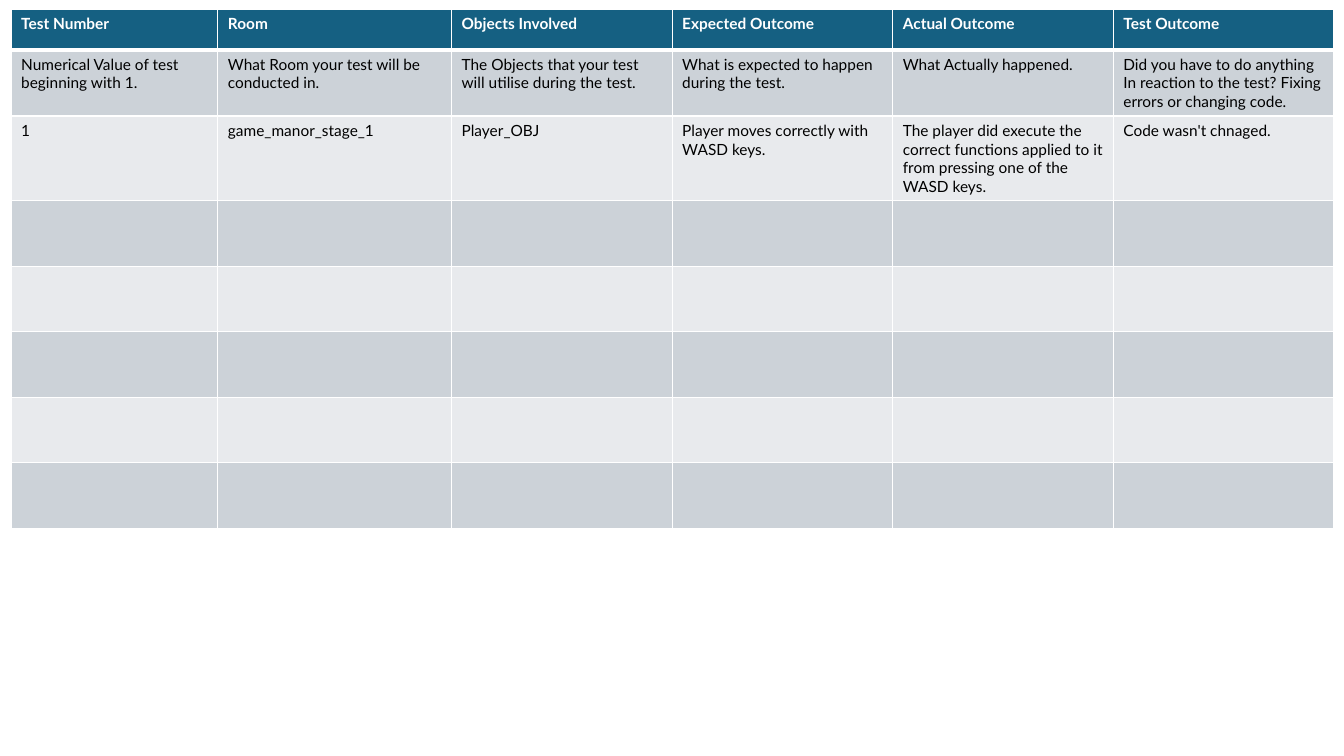
from dataclasses import dataclass

import lxml.etree
import pptx
import pptx.dml.color
import pptx.oxml.ns
import pptx.table
import pptx.util

COLOURS = {
    "header": "156082",
    "dark_band": "CCD2D8",
    "light_band": "E8EAED",
    "border": "FFFFFF",
    "header_text": "FFFFFF",
    "body_text": "000000",
}
FONT = "Lato"
COLUMN_WIDTHS = [5.21, 5.89] + [5.56] * 4
HEADER_HEIGHT = 1.02
TEST_HEIGHT = 1.65
EMPTY_TESTS = 5


@dataclass
class TestRow:
    texts: list[str]
    fill: str
    height: float = TEST_HEIGHT
    text_colour: str = "body_text"
    bold: bool = False
    top_border: float = 1
    bottom_border: float = 1


def rgb(name: str) -> pptx.dml.color.RGBColor:
    return pptx.dml.color.RGBColor.from_string(COLOURS[name])


def set_borders(cell: pptx.table._Cell, top: float, bottom: float) -> None:
    """Draw the four cell borders, with widths in points; the sides are 1 pt."""
    properties = cell._tc.get_or_add_tcPr()
    qn = pptx.oxml.ns.qn
    widths = {"a:lnL": 1, "a:lnR": 1, "a:lnT": top, "a:lnB": bottom}
    for position, (side, width) in enumerate(widths.items()):
        line = lxml.etree.Element(qn(side), w=str(pptx.util.Pt(width)))
        fill = lxml.etree.SubElement(line, qn("a:solidFill"))
        lxml.etree.SubElement(fill, qn("a:srgbClr"), val=COLOURS["border"])
        properties.insert(position, line)


def fill_cell(cell: pptx.table._Cell, text: str, row: TestRow) -> None:
    cell.fill.solid()
    cell.fill.fore_color.rgb = rgb(row.fill)
    set_borders(cell, row.top_border, row.bottom_border)
    if text:
        run = cell.text_frame.paragraphs[0].add_run()
        run.text = text
        run.font.name = FONT
        run.font.size = pptx.util.Pt(11)
        run.font.bold = row.bold
        run.font.color.rgb = rgb(row.text_colour)


def test_rows() -> list[TestRow]:
    header = TestRow(
        ["Test Number", "Room", "Objects Involved", "Expected Outcome",
         "Actual Outcome", "Test Outcome"],
        "header", HEADER_HEIGHT, "header_text", bold=True, bottom_border=3,
    )
    explanations = [
        "Numerical Value of test beginning with 1.",
        "What Room your test will be conducted in.",
        "The Objects that your test will utilise during the test.",
        "What is expected to happen during the test.",
        "What Actually happened.",
        "Did you have to do anything In reaction to the test? "
        "Fixing errors or changing code.",
    ]
    first_test = [
        "1",
        "game_manor_stage_1",
        "Player_OBJ",
        "Player moves correctly with WASD keys.",
        "The player did execute the correct functions applied to it "
        "from pressing one of the WASD keys.",
        "Code wasn't chnaged.",
    ]
    empty_test = [""] * len(COLUMN_WIDTHS)
    bands = ["dark_band", "light_band"]
    body = [
        TestRow(texts, bands[index % 2], top_border=1 if index else 3)
        for index, texts in enumerate(
            [explanations, first_test] + [empty_test] * EMPTY_TESTS)
    ]
    return [header] + body


def add_test_table(slide: pptx.slide.Slide, rows: list[TestRow]) -> None:
    Cm = pptx.util.Cm
    test_table = slide.shapes.add_table(
        len(rows), len(COLUMN_WIDTHS), Cm(0.28), Cm(0.24),
        Cm(sum(COLUMN_WIDTHS)), Cm(sum(row.height for row in rows)),
    ).table
    for column, width in zip(test_table.columns, COLUMN_WIDTHS):
        column.width = Cm(width)
    for table_row, row in zip(test_table.rows, rows):
        table_row.height = Cm(row.height)
        for cell, text in zip(table_row.cells, row.texts):
            fill_cell(cell, text, row)


def main() -> None:
    deck = pptx.Presentation()
    deck.slide_width = pptx.util.Cm(33.87)
    deck.slide_height = pptx.util.Cm(19.05)
    slide = deck.slides.add_slide(deck.slide_layouts[6])
    add_test_table(slide, test_rows())
    deck.save("out.pptx")


if __name__ == "__main__":
    main()
